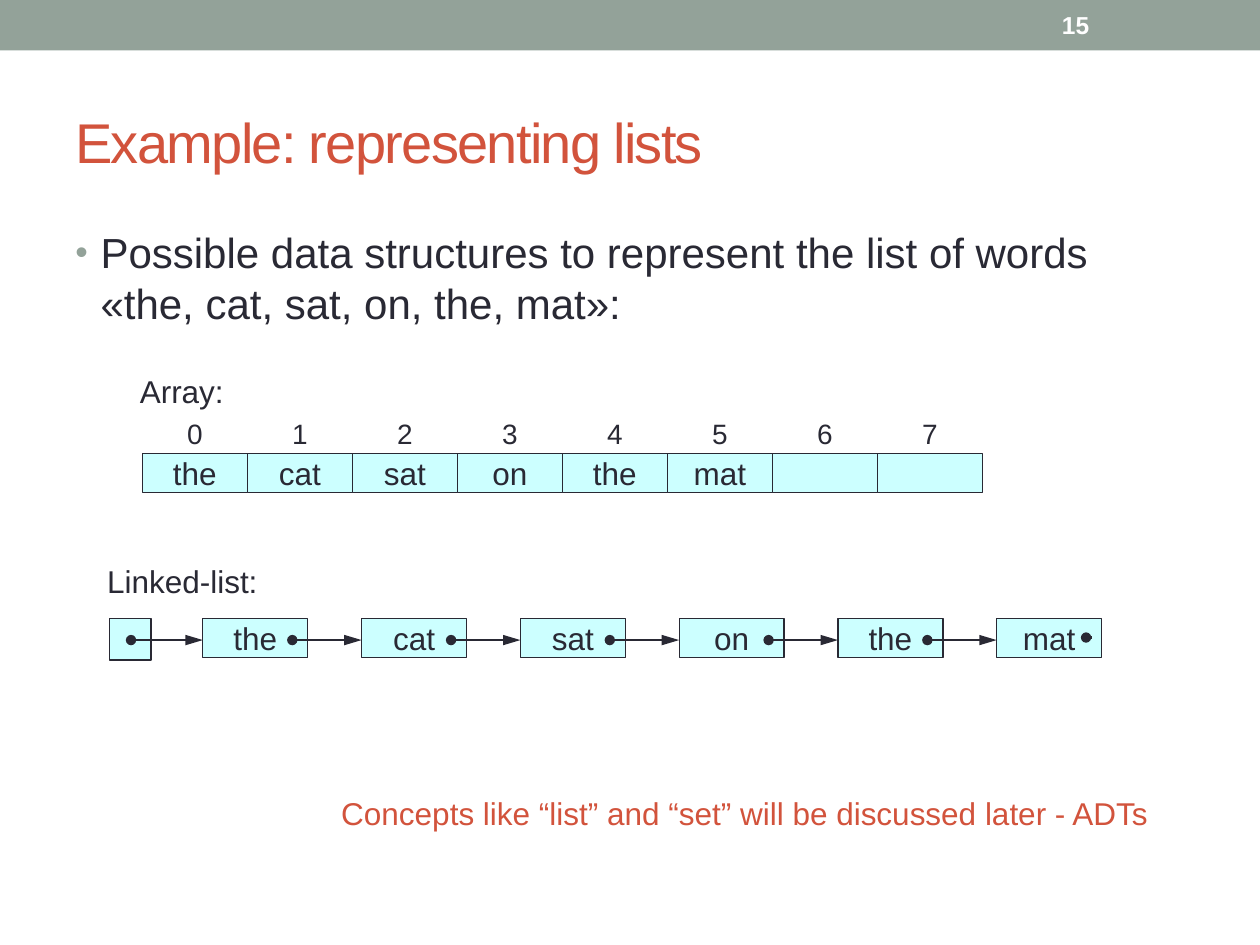
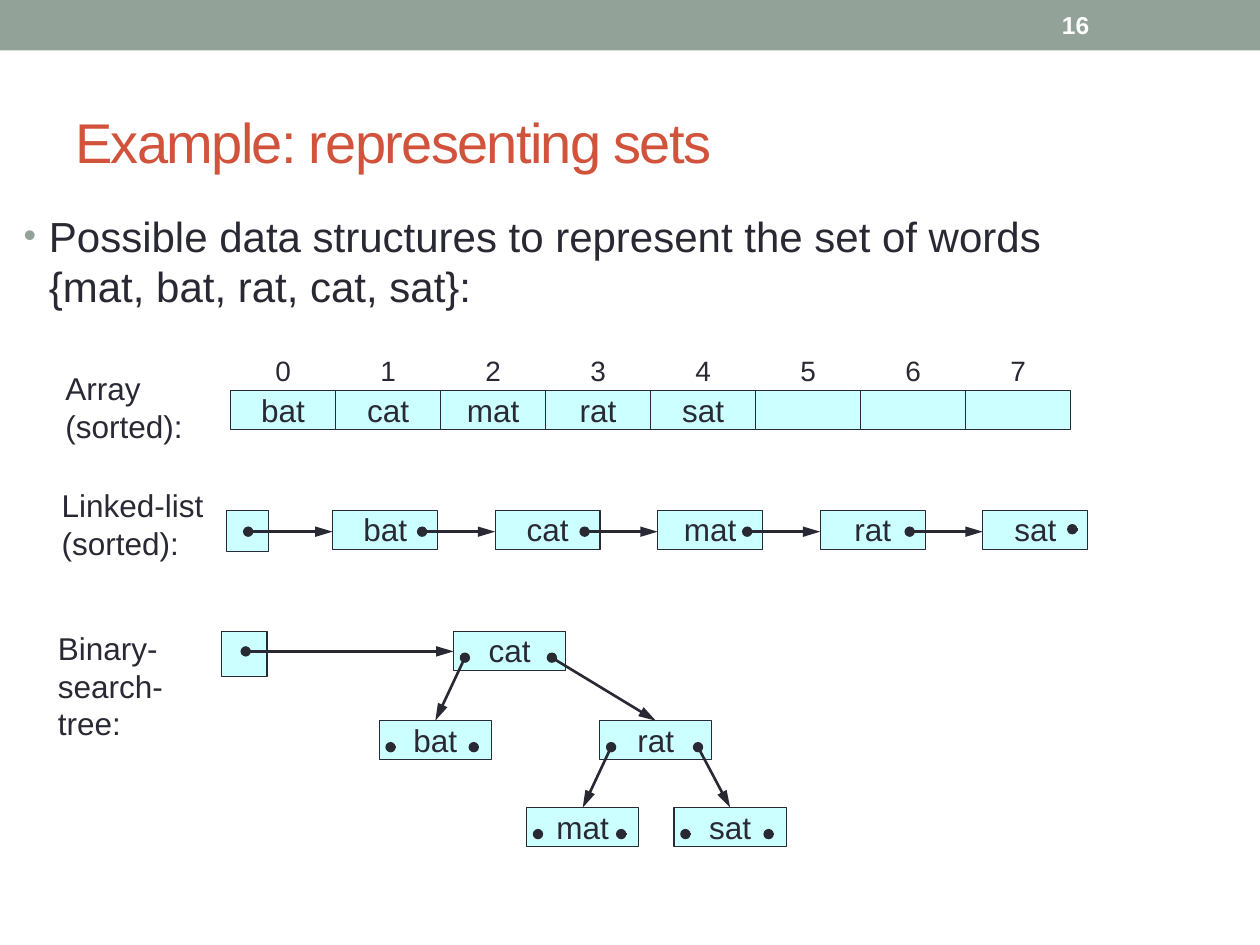
from dataclasses import dataclass

from pptx import Presentation
from pptx import util as u
from pptx.dml import color
from pptx.enum import shapes, text
from pptx.oxml import ns, xmlchemy

COLORS = {"band": "93A299", "accent": "D2533C", "ink": "292934",
          "cell": "CCFFFF", "white": "FFFFFF"}
FONT = "Arial"
CELL_WIDTH, CELL_HEIGHT = 5 / 6, 0.31
CELL_COUNT = 8
SLOT = 0.71  # offset of the pointer inside a list node


@dataclass
class Rect:
    left: float
    top: float
    width: float
    height: float

    def lengths(self) -> list:
        return [u.Inches(v) for v in (self.left, self.top, self.width, self.height)]


@dataclass
class Style:
    size: int = 18
    color: str = "ink"
    bold: bool = False
    align: text.PP_ALIGN = text.PP_ALIGN.LEFT
    middle: bool = False
    inset: bool = False


LABEL = Style()
WORD = Style(align=text.PP_ALIGN.CENTER)
INDEX = Style(size=16, align=text.PP_ALIGN.CENTER)
TITLE = Style(size=32, color="accent", middle=True, inset=True)
BODY = Style(size=24, inset=True)
NUMBER = Style(size=14, color="white", bold=True, middle=True, inset=True)
NOTE = Style(color="accent", inset=True)


@dataclass
class TreeNode:
    word: str
    left: float
    top: float
    children: tuple = ()


def rgb(name: str) -> color.RGBColor:
    return color.RGBColor.from_string(COLORS[name])


def add_child(parent, tag: str, **attributes: str):
    child = xmlchemy.OxmlElement(tag)
    for name, value in attributes.items():
        child.set(name, value)
    parent.append(child)
    return child


def write(shape, words: str, style: Style):
    """Put one formatted paragraph into a shape and return it."""
    frame = shape.text_frame
    frame.word_wrap = True
    frame.vertical_anchor = text.MSO_ANCHOR.MIDDLE if style.middle else text.MSO_ANCHOR.TOP
    if not style.inset:
        frame.margin_left = frame.margin_right = 0
        frame.margin_top = frame.margin_bottom = 0
    frame.text = words
    para = frame.paragraphs[0]
    para.alignment = style.align
    for span in para.runs:
        span.font.name = FONT
        span.font.size = u.Pt(style.size)
        span.font.bold = style.bold
        span.font.color.rgb = rgb(style.color)
    return para


def add_text(page, rect: Rect, words: str, style: Style = LABEL):
    return write(page.shapes.add_textbox(*rect.lengths()), words, style)


def add_box(page, rect: Rect, words: str = "", fill: str = "cell", outlined: bool = True) -> None:
    box = page.shapes.add_shape(shapes.MSO_SHAPE.RECTANGLE, *rect.lengths())
    box.shadow.inherit = False
    box.fill.solid()
    box.fill.fore_color.rgb = rgb(fill)
    if outlined:
        box.line.color.rgb = rgb("ink")
        box.line.width = u.Pt(0.75)
    else:
        box.line.fill.background()
    if words:
        write(box, words, WORD)


def add_pointer(page, start: tuple[float, float], end: tuple[float, float] | None = None) -> None:
    """Draw a dot with an arrow to its target; without a target, only the dot."""
    target = end or (start[0] + 0.04, start[1])
    line = page.shapes.add_connector(shapes.MSO_CONNECTOR.STRAIGHT,
                                     *[u.Inches(v) for v in (*start, *target)])
    line.line.color.rgb = rgb("ink")
    line.line.width = u.Pt(1.5)
    outline = line.line._get_or_add_ln()
    add_child(outline, "a:headEnd", type="oval")
    if end:
        add_child(outline, "a:tailEnd", type="triangle", w="med", len="lg")
    add_child(line._element.find(ns.qn("p:spPr")), "a:effectLst")


def add_page(deck, number: int, title: str, body: str, body_rect: Rect):
    """Start a page with band, title, bulleted statement and page number."""
    page = deck.slides.add_slide(deck.slide_layouts[6])
    add_box(page, Rect(0, 0, 10, 0.4), fill="band", outlined=False)
    heading = add_text(page, Rect(0.5, 0.58, 9, 1.08), title, TITLE)
    heading.runs[0].font._element.set("spc", "-100")
    para = add_text(page, body_rect, body, BODY)
    props = para._p.get_or_add_pPr()
    props.set("marL", str(u.Inches(0.2)))
    props.set("indent", str(-u.Inches(0.2)))
    add_child(add_child(props, "a:spcBef"), "a:spcPct", val="20000")
    add_child(add_child(props, "a:buClr"), "a:srgbClr", val=COLORS["band"])
    add_child(props, "a:buSzPct", val="85000")
    add_child(props, "a:buFont", typeface=FONT)
    add_child(props, "a:buChar", char="•")
    add_text(page, Rect(8.33, 0.02, 1.17, 0.36), str(number), NUMBER)
    return page


def add_array(page, left: float, top: float, words: list[str]) -> None:
    """Draw a row of cells with an index above each one."""
    for index in range(CELL_COUNT):
        x = left + index * CELL_WIDTH
        add_text(page, Rect(x, top - 0.29, CELL_WIDTH, 0.27), str(index), INDEX)
        word = words[index] if index < len(words) else ""
        add_box(page, Rect(x, top, CELL_WIDTH, CELL_HEIGHT), word)


def add_linked_list(page, head: float, first: float, pitch: float, top: float,
                    words: list[str]) -> None:
    """Draw a head cell and evenly spaced nodes, each pointing to the next."""
    lefts = [first + index * pitch for index in range(len(words))]
    add_box(page, Rect(head, top, 0.33, 0.33))
    for x, word in zip(lefts, words):
        add_box(page, Rect(x, top, CELL_WIDTH, CELL_HEIGHT), word)
    y = top + 0.17
    starts = [head + 0.17] + [x + SLOT for x in lefts]
    for start, x in zip(starts, lefts):
        add_pointer(page, (start, y), (x, y))
    add_pointer(page, (starts[-1], y - 0.02))


def add_tree(page, node: TreeNode) -> None:
    """Draw a node and its subtrees; a leaf keeps two bare dots."""
    width = 0.89
    add_box(page, Rect(node.left, node.top, width, CELL_HEIGHT), node.word)
    for child in node.children:
        add_tree(page, child)
    ends = [(child.left + width / 2, child.top) for child in node.children] or [None, None]
    slots = (0.09, 0.78) if node.children else (0.09, 0.75)
    for slot, end in zip(slots, ends):
        add_pointer(page, (node.left + slot, node.top + 0.21), end)


deck = Presentation()
deck.slide_width, deck.slide_height = u.Inches(10), u.Inches(7.5)

# Lists
page = add_page(deck, 15, "Example: representing lists",
                "Possible data structures to represent the list of words "
                "«the, cat, sat, on, the, mat»:", Rect(0.5, 1.75, 9, 5.33))
sentence = ["the", "cat", "sat", "on", "the", "mat"]
add_text(page, Rect(1.11, 2.95, 1.33, 0.3), "Array:")
add_array(page, 1.13, 3.6, sentence)
add_text(page, Rect(0.85, 4.46, 1.33, 0.3), "Linked-list:")
add_linked_list(page, 0.87, 1.61, 1.26, 4.91, sentence)
add_text(page, Rect(2.61, 6.25, 6.98, 0.4),
         "Concepts like “list” and “set” will be discussed later - ADTs", NOTE)

# Sets
page = add_page(deck, 16, "Example: representing sets",
                "Possible data structures to represent the set of words "
                "{mat, bat, rat, cat, sat}:", Rect(0.09, 1.62, 8.33, 5.25))
members = ["bat", "cat", "mat", "rat", "sat"]
add_text(page, Rect(0.52, 2.93, 1.14, 0.61), "Array (sorted):")
add_array(page, 1.83, 3.1, members)
add_text(page, Rect(0.49, 3.86, 1.14, 0.61), "Linked-list (sorted):")
add_linked_list(page, 1.8, 2.64, 1.29, 4.05, members)

# Binary search tree
add_text(page, Rect(0.46, 4.99, 1.14, 0.9), "Binary-search-tree:")
rat = TreeNode("rat", 4.76, 5.72, (TreeNode("mat", 4.18, 6.41), TreeNode("sat", 5.35, 6.41)))
root = TreeNode("cat", 3.6, 5.01, (TreeNode("bat", 3.01, 5.72), rat))
add_box(page, Rect(1.76, 5.01, 0.36, 0.36))
add_tree(page, root)
add_pointer(page, (1.95, 5.17), (root.left, 5.17))

deck.save("out.pptx")
